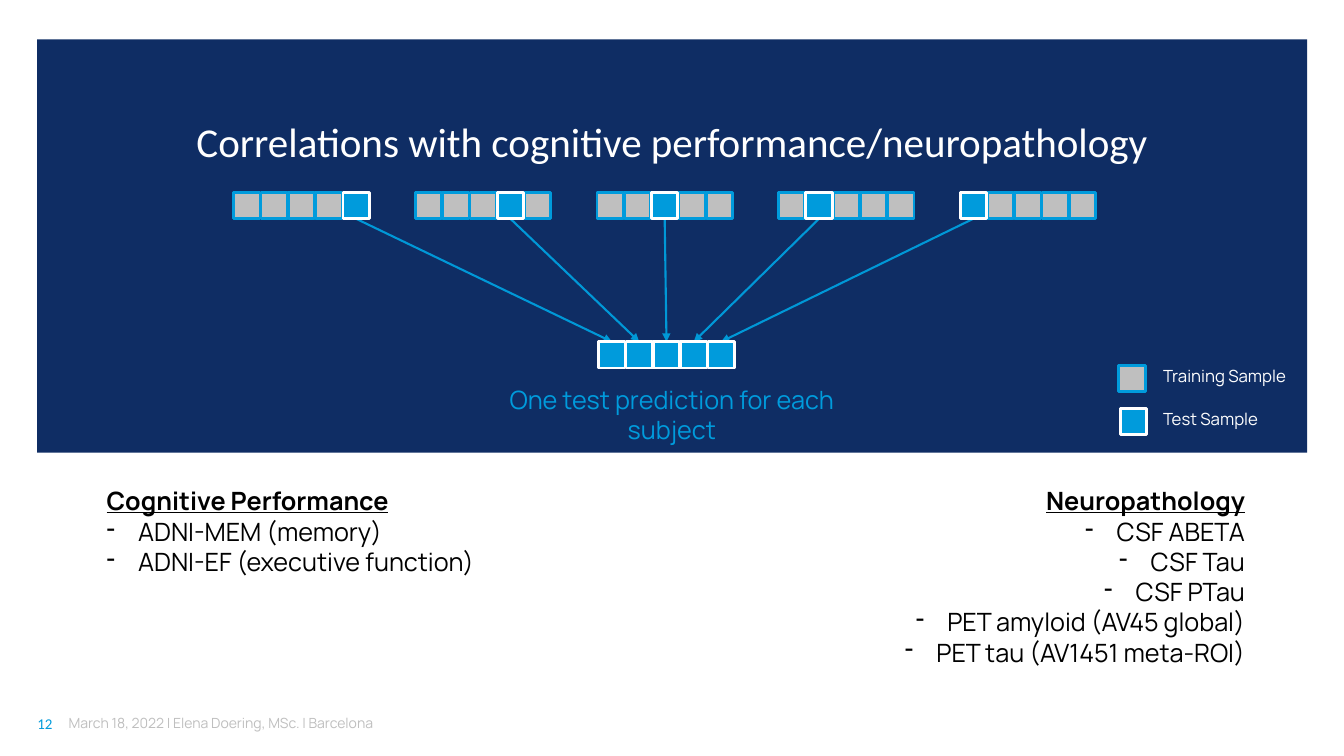
import pptx
import pptx.util
import pptx.dml.color
import pptx.enum.shapes
import pptx.enum.text
import pptx.oxml.ns
import lxml.etree

Pt = pptx.util.Pt
RGBColor = pptx.dml.color.RGBColor
ALIGN = pptx.enum.text.PP_ALIGN
ANCHOR = pptx.enum.text.MSO_ANCHOR
RECTANGLE = pptx.enum.shapes.MSO_SHAPE.RECTANGLE
STRAIGHT = pptx.enum.shapes.MSO_CONNECTOR.STRAIGHT
qn = pptx.oxml.ns.qn

COLORS = {
    "navy": "0F2D64",
    "blue": "009BDC",
    "arrow": "0098D7",
    "gray": "BFBFBF",
    "white": "FFFFFF",
    "black": "000000",
}
SAMPLE_STYLES = {"training": ("gray", "blue"), "test": ("blue", "white")}
CELL = 18.8
CELL_STEP = 19.5
FOLDS = 5
FOLD_LEFT = 167
FOLD_STEP = 129.7
FOLD_TOP = 137.5
RESULT_LEFT = 427.7
RESULT_TOP = 244.1

presentation = pptx.Presentation()
presentation.slide_width = Pt(960)
presentation.slide_height = Pt(540)
slide = presentation.slides.add_slide(presentation.slide_layouts[6])


def add_rectangle(left, top, width, height, fill, line=None):
    shape = slide.shapes.add_shape(RECTANGLE, Pt(left), Pt(top), Pt(width), Pt(height))
    shape.shadow.inherit = False
    shape.fill.solid()
    shape.fill.fore_color.rgb = RGBColor.from_string(COLORS[fill])
    if line:
        shape.line.color.rgb = RGBColor.from_string(COLORS[line])
        shape.line.width = Pt(2)
    else:
        shape.line.fill.background()


def add_text(box, text, size, color, align=ALIGN.LEFT, font="Manrope",
             margins=(7.2, 3.6, 7.2, 3.6), anchor=ANCHOR.TOP):
    left, top, width, height = box
    shape = slide.shapes.add_textbox(Pt(left), Pt(top), Pt(width), Pt(height))
    text_frame = shape.text_frame
    text_frame.word_wrap = True
    text_frame.vertical_anchor = anchor
    text_frame.margin_left, text_frame.margin_top, text_frame.margin_right, text_frame.margin_bottom = map(Pt, margins)
    text_frame.text = text
    for paragraph in text_frame.paragraphs:
        paragraph.alignment = align
        for run in paragraph.runs:
            run.font.size = Pt(size)
            run.font.name = font
            run.font.color.rgb = RGBColor.from_string(COLORS[color])
    return text_frame


add_text((0, 504, 38.2, 22.3), "12", 10.7, "blue", ALIGN.RIGHT, "Calibri", (0, 6.5, 0.7, 0))
add_text((49, 504, 642, 22.3), "March 18, 2022 | Elena Doering, MSc. | Barcelona", 10, "gray",
         margins=(0, 6.5, 0, 0))
add_rectangle(26.6, 28.1, 907.2, 295.2, "navy")
add_text((49, 51, 862, 67.7), "Correlations with cognitive performance/neuropathology", 29.3, "white",
         ALIGN.CENTER, "Calibri", (0, 0, 0, 0), ANCHOR.BOTTOM)

for fold in range(FOLDS):
    fold_left = FOLD_LEFT + fold * FOLD_STEP
    test_position = FOLDS - 1 - fold
    test_left = fold_left + test_position * CELL_STEP
    result_left = RESULT_LEFT + fold * CELL_STEP

    for position in range(FOLDS):
        if position != test_position:
            add_rectangle(fold_left + position * CELL_STEP, FOLD_TOP, CELL, CELL, *SAMPLE_STYLES["training"])

    arrow = slide.shapes.add_connector(
        STRAIGHT, Pt(test_left + CELL / 2), Pt(FOLD_TOP + CELL), Pt(result_left + CELL / 2), Pt(RESULT_TOP))
    arrow.line.color.rgb = RGBColor.from_string(COLORS["arrow"])
    arrow.line.width = Pt(1.5)
    lxml.etree.SubElement(arrow.line._get_or_add_ln(), qn("a:tailEnd"), type="triangle")
    lxml.etree.SubElement(arrow._element.spPr, qn("a:effectLst"))

    add_rectangle(test_left, FOLD_TOP, CELL, CELL, *SAMPLE_STYLES["test"])
    add_rectangle(result_left, RESULT_TOP, CELL, CELL, *SAMPLE_STYLES["test"])

for sample, label, left, top in [
    ("training", "Training Sample", 799.2, 261.1),
    ("test", "Test Sample", 800.2, 291.7),
]:
    add_rectangle(left, top, CELL, CELL, *SAMPLE_STYLES[sample])
    add_text((823.7, top - 3.2, 107.3, 21.6), label, 12, "white")

add_text((355, 270.7, 249.8, 51.1), "One test prediction for each subject", 18, "blue", ALIGN.CENTER)

for left, height, align, lines in [
    (69.1, 72.7, ALIGN.LEFT, ["Cognitive Performance", "ADNI-MEM (memory)", "ADNI-EF (executive function)"]),
    (610.6, 138.2, ALIGN.RIGHT, ["Neuropathology", "CSF ABETA", "CSF Tau", "CSF PTau",
                                 "PET amyloid (AV45 global)", "PET tau (AV1451 meta-ROI)"]),
]:
    text_frame = add_text((left, 343.4, 285.8, height), "\n".join(lines), 18, "black", align)
    heading, *measures = text_frame.paragraphs
    heading.runs[0].font.bold = True
    heading.runs[0].font.underline = True
    for paragraph in measures:
        properties = paragraph._p.get_or_add_pPr()
        properties.set("marL", str(Pt(22.5)))
        properties.set("indent", str(-Pt(22.5)))
        lxml.etree.SubElement(properties, qn("a:buFontTx"))
        lxml.etree.SubElement(properties, qn("a:buChar"), char="-")

presentation.save("out.pptx")
